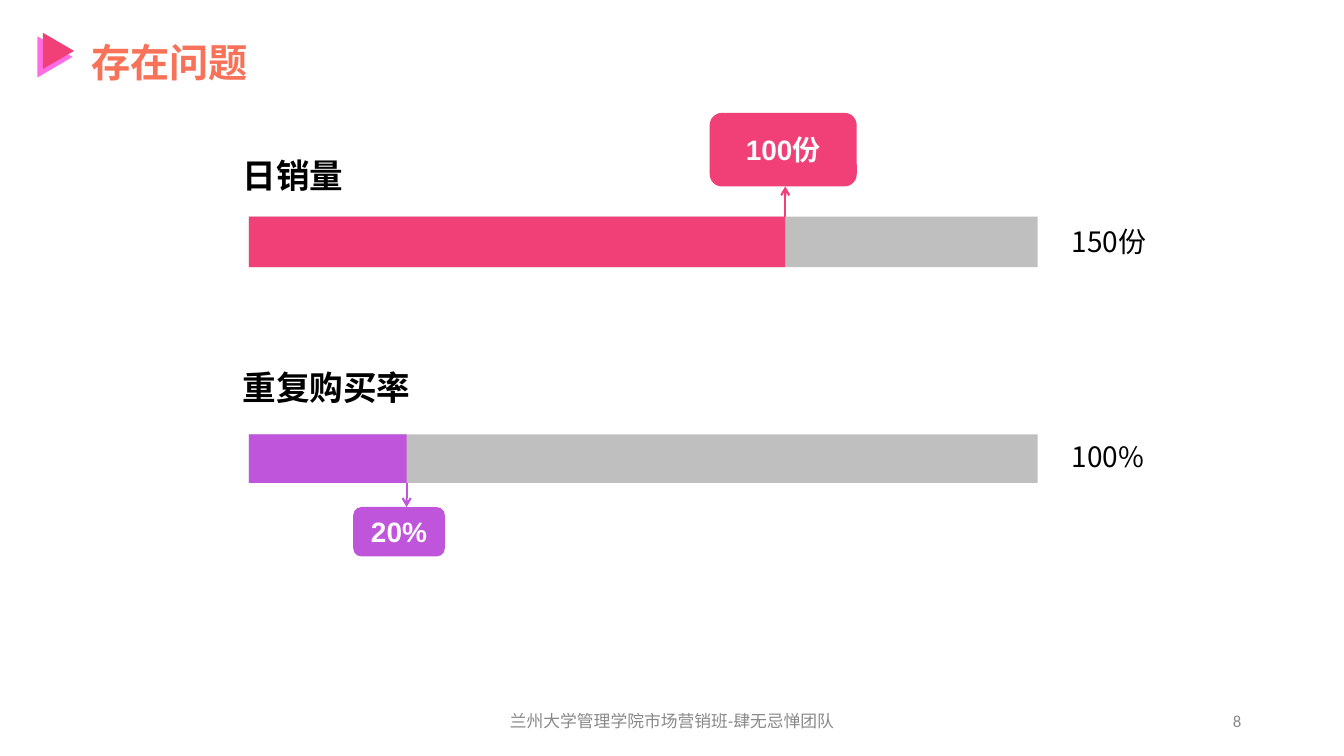
from dataclasses import dataclass

from lxml import etree
from pptx import Presentation
from pptx.dml.color import RGBColor
from pptx.enum.shapes import MSO_CONNECTOR, MSO_SHAPE
from pptx.enum.text import MSO_ANCHOR, PP_ALIGN
from pptx.oxml.ns import qn
from pptx.util import Inches, Pt

RECT = MSO_SHAPE.RECTANGLE
ROUNDED = MSO_SHAPE.ROUNDED_RECTANGLE
TRIANGLE = MSO_SHAPE.ISOSCELES_TRIANGLE
STRAIGHT = MSO_CONNECTOR.STRAIGHT
LEFT, CENTER, RIGHT = PP_ALIGN.LEFT, PP_ALIGN.CENTER, PP_ALIGN.RIGHT
TOP, MIDDLE = MSO_ANCHOR.TOP, MSO_ANCHOR.MIDDLE

ORANGE = RGBColor(0xF7, 0x72, 0x58)
PINK = RGBColor(0xFF, 0x6C, 0xE4)
RED = RGBColor(0xF0, 0x40, 0x77)
PURPLE = RGBColor(0xBF, 0x55, 0xDB)
TRACK_GRAY = RGBColor(0xBF, 0xBF, 0xBF)
FOOTER_GRAY = RGBColor(0x89, 0x89, 0x89)
BLACK = RGBColor(0, 0, 0)
OFF_WHITE = RGBColor(0xFB, 0xFB, 0xFB)

CJK_FONT = "Noto Sans CJK SC"
SLIDE_W, SLIDE_H = 13.34, 7.5


@dataclass
class Box:
    """A rectangle in inches."""
    x: float
    y: float
    w: float
    h: float

    def inner(self, dx, dy, w, h):
        """Return a box placed relative to this one's top left corner."""
        return Box(self.x + dx, self.y + dy, w, h)

    def emu(self):
        """Return left, top, width and height as lengths."""
        return [Inches(v) for v in (self.x, self.y, self.w, self.h)]


def write(frame, text, size=20, font="Arial", color=BLACK, bold=False,
          align=LEFT, anchor=TOP, wrap=True):
    """Fill a text frame with one formatted paragraph."""
    frame.word_wrap = wrap
    frame.vertical_anchor = anchor
    paragraph = frame.paragraphs[0]
    paragraph.alignment = align
    run = paragraph.add_run()
    run.text = text
    run.font.size, run.font.name, run.font.bold = Pt(size), font, bold
    run.font.color.rgb = color
    latin = run.font._element.find(qn("a:latin"))
    east_asian = etree.Element(qn("a:ea"), typeface=CJK_FONT)
    latin.addnext(east_asian)


def add_text(slide, box, text, **style):
    """Place a text box."""
    write(slide.shapes.add_textbox(*box.emu()).text_frame, text, **style)


def add_block(slide, kind, box, fill, rotation=0):
    """Place a flat filled shape without an outline."""
    block = slide.shapes.add_shape(kind, *box.emu())
    block.shadow.inherit = False
    block.fill.solid()
    block.fill.fore_color.rgb = fill
    block.line.fill.background()
    block.rotation = rotation
    return block


def add_arrow(slide, x, start_y, end_y, color):
    """Draw a vertical arrow."""
    arrow = slide.shapes.add_connector(
        STRAIGHT, Inches(x), Inches(start_y), Inches(x), Inches(end_y))
    arrow.line.color.rgb = color
    arrow.line.width = Pt(1.5)
    etree.SubElement(arrow.line._get_or_add_ln(), qn("a:tailEnd"), type="arrow")
    etree.SubElement(arrow._element.spPr, qn("a:effectLst"))


def add_header(slide, box, title):
    """Place the double triangle and the slide title."""
    add_block(slide, TRIANGLE, box.inner(0, 0.06, 0.41, 0.35), PINK, 90)
    add_block(slide, TRIANGLE, box.inner(0.06, 0.02, 0.36, 0.31), RED, 90)
    add_text(slide, box.inner(0.47, 0, box.w - 0.47, box.h), title,
             size=28, font=CJK_FONT, color=ORANGE, bold=True)


def add_meter(slide, bar, label, label_rise, limit, limit_drop,
              share, value, callout_offset, callout_size, color):
    """Place a labelled bar whose filled share is marked by a callout."""
    mark = bar.w * share
    callout = bar.inner(mark + callout_offset[0], callout_offset[1], *callout_size)
    above = callout.y < bar.y
    add_block(slide, RECT, bar, TRACK_GRAY)
    add_block(slide, RECT, bar.inner(0, 0, mark, bar.h), color)
    add_text(slide, bar.inner(-0.16, -label_rise, 1.9, 0.5), label,
             size=24, bold=True, wrap=False)
    add_text(slide, bar.inner(bar.w + 0.24, limit_drop, 2.48, 0.44), limit,
             font=CJK_FONT)
    badge = add_block(slide, ROUNDED, callout, color)
    write(badge.text_frame, value, color=OFF_WHITE, bold=True,
          align=CENTER, anchor=MIDDLE)
    start_y = bar.y if above else bar.y + bar.h
    end_y = callout.y + callout.h if above else callout.y
    add_arrow(slide, bar.x + mark, start_y, end_y, color)


def add_footer(slide, box, team, page):
    """Place the centred team name and the page number at the right."""
    style = dict(size=12, font="Calibri", color=FOOTER_GRAY, anchor=MIDDLE)
    add_text(slide, box.inner(0, 0, 4.5, box.h), team, align=CENTER, **style)
    add_text(slide, box.inner(box.w - 3, 0, 3, box.h), page, align=RIGHT, **style)


def main():
    """Build the slide and save it."""
    deck = Presentation()
    deck.slide_width, deck.slide_height = Inches(SLIDE_W), Inches(SLIDE_H)
    slide = deck.slides.add_slide(deck.slide_layouts[6])
    add_header(slide, Box(0.34, 0.33, 2.69, 0.57), "存在问题")
    add_meter(slide, Box(2.47, 2.15, 7.83, 0.5), "日销量", 0.66, "150份", 0.03,
              0.68, "100份", (-0.75, -1.03), (1.46, 0.73), RED)
    add_meter(slide, Box(2.47, 4.31, 7.83, 0.48), "重复购买率", 0.72, "100%", 0,
              0.2, "20%", (-0.53, 0.72), (0.91, 0.49), PURPLE)
    add_footer(slide, Box(4.42, 6.95, 8, 0.4),
               "兰州大学管理学院市场营销班-肆无忌惮团队", "8")
    deck.save("out.pptx")


if __name__ == "__main__":
    main()
